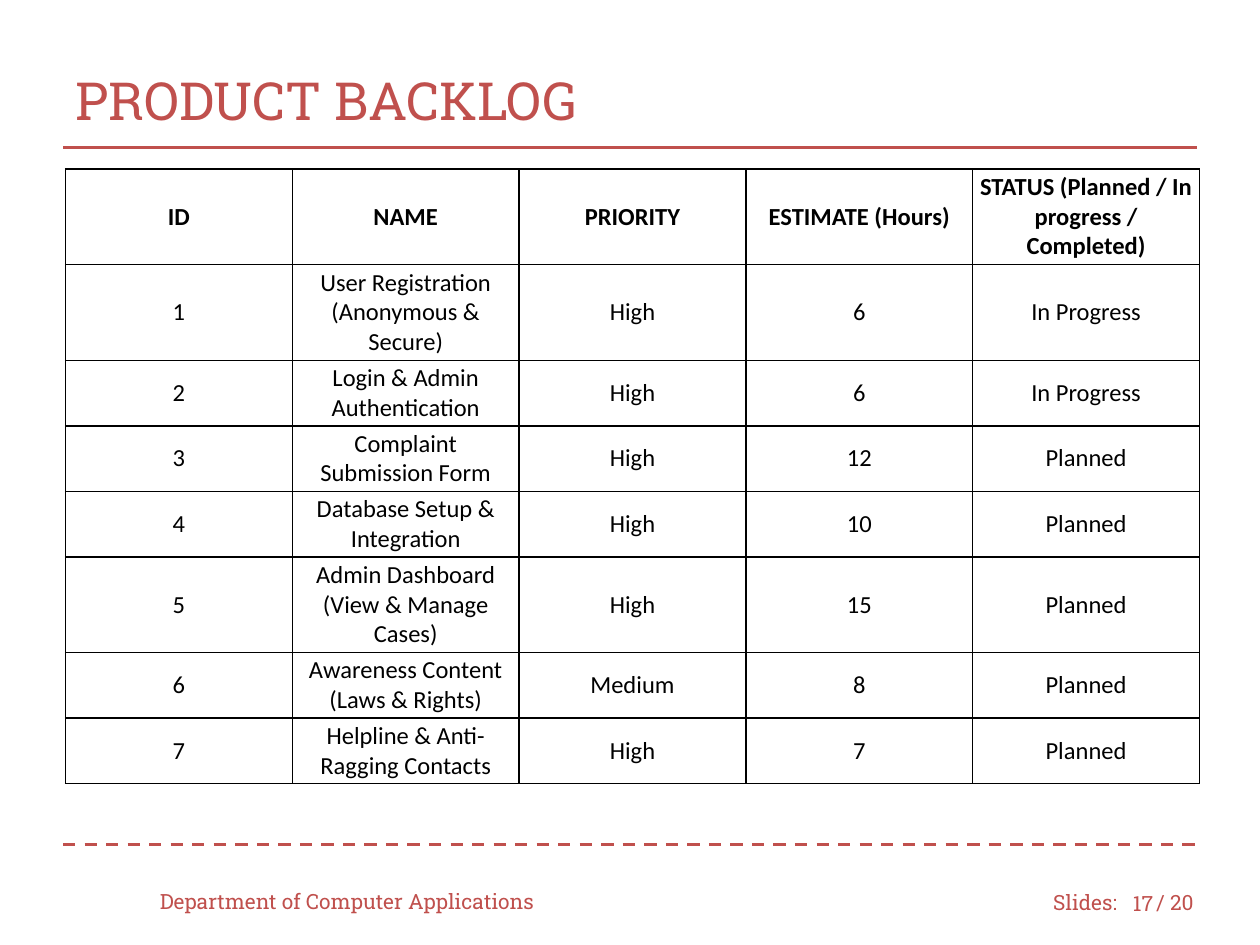
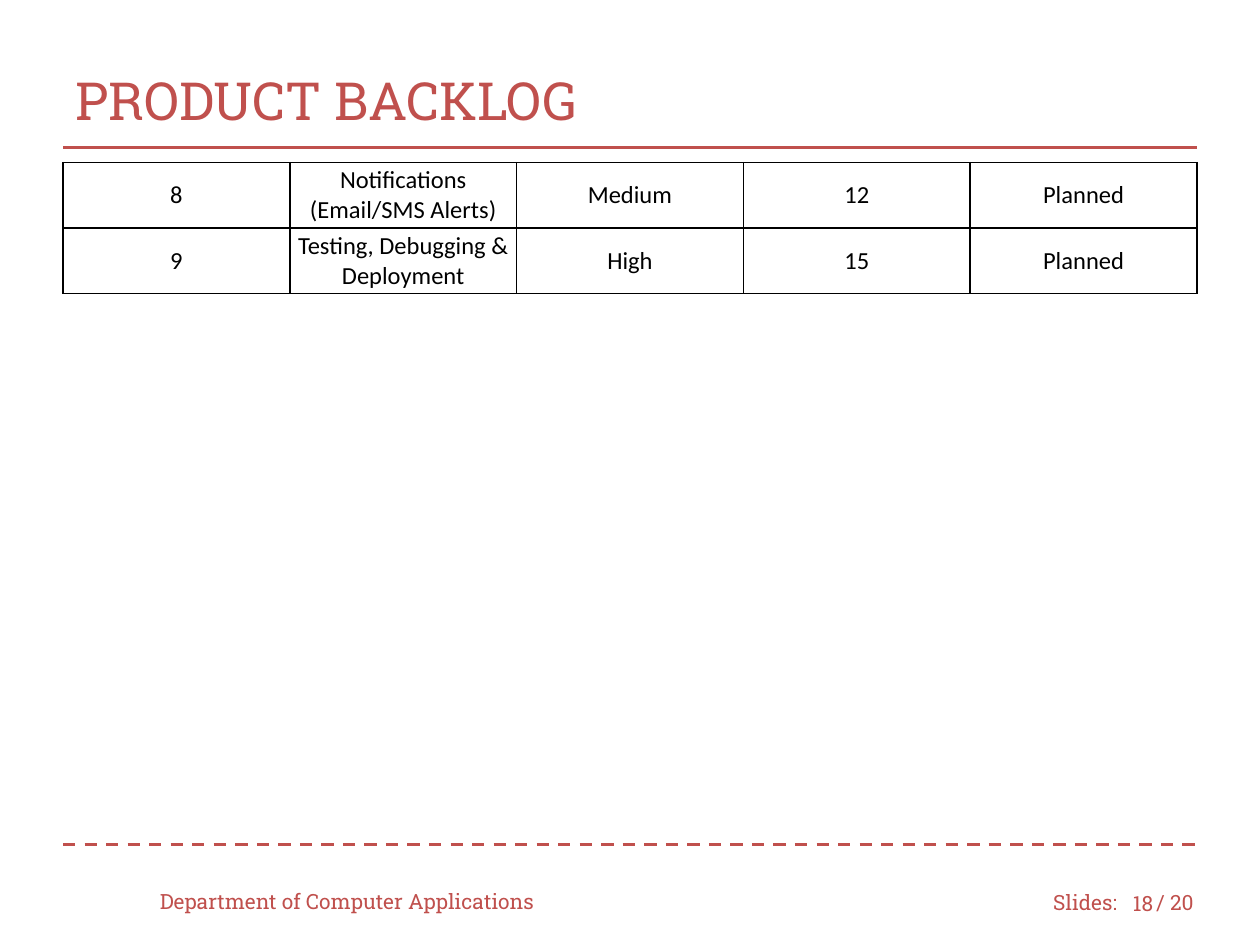
"""Build the two product backlog slides with their shared title, rules and footer."""
import dataclasses

import pptx
import pptx.dml.color
import pptx.enum.dml
import pptx.enum.shapes
import pptx.enum.text
import pptx.util
from lxml import etree

Inches, Pt = pptx.util.Inches, pptx.util.Pt
RGB = pptx.dml.color.RGBColor
ALIGN = pptx.enum.text.PP_ALIGN
MIDDLE = pptx.enum.text.MSO_ANCHOR.MIDDLE
DASH = pptx.enum.dml.MSO_LINE.DASH
NS = "http://schemas.openxmlformats.org/drawingml/2006/main"


@dataclasses.dataclass(frozen=True)
class Theme:
    accent: RGB = RGB(0xC0, 0x50, 0x4D)
    ink: RGB = RGB(0, 0, 0)
    brand_font: str = "Roboto Slab"
    table_font: str = "Calibri"
    title_size: int = 30
    table_size: int = 14
    footer_size: int = 12
    rule_width: float = 1.75
    border_width: int = 1


theme = Theme()


def style(p, name, size, color, align=ALIGN.LEFT, bold=False):
    """Set the font and alignment of a paragraph."""
    p.alignment = align
    p.font.name, p.font.size, p.font.bold = name, Pt(size), bold
    p.font.color.rgb = color


def set_borders(cell):
    """Draw a solid line on all four sides of a table cell."""
    tc_pr = cell._tc.get_or_add_tcPr()
    for side in ("lnL", "lnR", "lnT", "lnB"):
        ln = etree.SubElement(tc_pr, f"{{{NS}}}{side}", w=str(Pt(theme.border_width)))
        fill = etree.SubElement(ln, f"{{{NS}}}solidFill")
        etree.SubElement(fill, f"{{{NS}}}srgbClr", val=str(theme.ink))


prs = pptx.Presentation()
prs.slide_width, prs.slide_height = Inches(10), Inches(7.5)
W, H = prs.slide_width, prs.slide_height
MARGIN = int(W * 0.05)
CONTENT_W = W - 2 * MARGIN
LINE_H = Inches(0.24)
CELL_PAD = Inches(0.04)

header = ("ID", "NAME", "PRIORITY", "ESTIMATE (Hours)",
          "STATUS (Planned / In progress / Completed)")
backlog = [
    ("1", "User Registration (Anonymous & Secure)", "High", "6", "In Progress"),
    ("2", "Login & Admin Authentication", "High", "6", "In Progress"),
    ("3", "Complaint Submission Form", "High", "12", "Planned"),
    ("4", "Database Setup & Integration", "High", "10", "Planned"),
    ("5", "Admin Dashboard (View & Manage Cases)", "High", "15", "Planned"),
    ("6", "Awareness Content (Laws & Rights)", "Medium", "8", "Planned"),
    ("7", "Helpline & Anti-Ragging Contacts", "High", "7", "Planned"),
    ("8", "Notifications (Email/SMS Alerts)", "Medium", "12", "Planned"),
    ("9", "Testing, Debugging & Deployment", "High", "15", "Planned"),
]
three_line_rows = {"ID", "1", "5"}
pages = [
    (17, 0.52, 1.34, [header] + backlog[:7]),
    (18, 0.50, 1.29, backlog[7:]),
]
rules = [(1.17, None), (6.7, DASH)]

for number, left, top, rows in pages:
    s = prs.slides.add_slide(prs.slide_layouts[5])

    title = s.shapes.title
    title.left, title.top = MARGIN, Inches(0.33)
    title.width, title.height = CONTENT_W, Inches(0.92)
    title.text_frame.text = "PRODUCT BACKLOG"
    title.text_frame.vertical_anchor = MIDDLE
    style(title.text_frame.paragraphs[0], theme.brand_font, theme.title_size, theme.accent)

    for y, dash in rules:
        line = s.shapes.add_connector(pptx.enum.shapes.MSO_CONNECTOR.STRAIGHT,
                                      MARGIN, Inches(y), W - MARGIN, Inches(y))
        line.line.color.rgb = theme.accent
        line.line.width = Pt(theme.rule_width)
        if dash:
            line.line.dash_style = dash
        etree.SubElement(line._element.spPr, f"{{{NS}}}effectLst")

    heights = [(3 if row[0] in three_line_rows else 2) * LINE_H + CELL_PAD for row in rows]
    table = s.shapes.add_table(len(rows), len(header), Inches(left), Inches(top),
                               CONTENT_W, sum(heights)).table
    table.first_row = table.horz_banding = False
    for r, row in enumerate(rows):
        table.rows[r].height = heights[r]
        for c, text in enumerate(row):
            cell = table.cell(r, c)
            cell.text = text
            cell.vertical_anchor = MIDDLE
            cell.margin_left = cell.margin_right = Inches(0.05)
            cell.margin_top = cell.margin_bottom = Inches(0.02)
            style(cell.text_frame.paragraphs[0], theme.table_font, theme.table_size,
                  theme.ink, ALIGN.CENTER, row is header)
            set_borders(cell)
            cell.fill.background()

    footers = [
        ("Department of Computer Applications", 1.17, 6.95, 3.33, ALIGN.LEFT),
        ("Slides:", 8.26, 6.96, 0.75, ALIGN.LEFT),
        (str(number), 8.83, 6.97, 0.42, ALIGN.RIGHT),
        ("/ 20", 9.08, 6.96, 0.58, ALIGN.LEFT),
    ]
    for text, x, y, width, align in footers:
        tf = s.shapes.add_textbox(Inches(x), Inches(y), Inches(width), Inches(0.4)).text_frame
        tf.word_wrap = True
        tf.vertical_anchor = MIDDLE
        tf.text = text
        style(tf.paragraphs[0], theme.brand_font, theme.footer_size, theme.accent, align)

prs.save("out.pptx")
